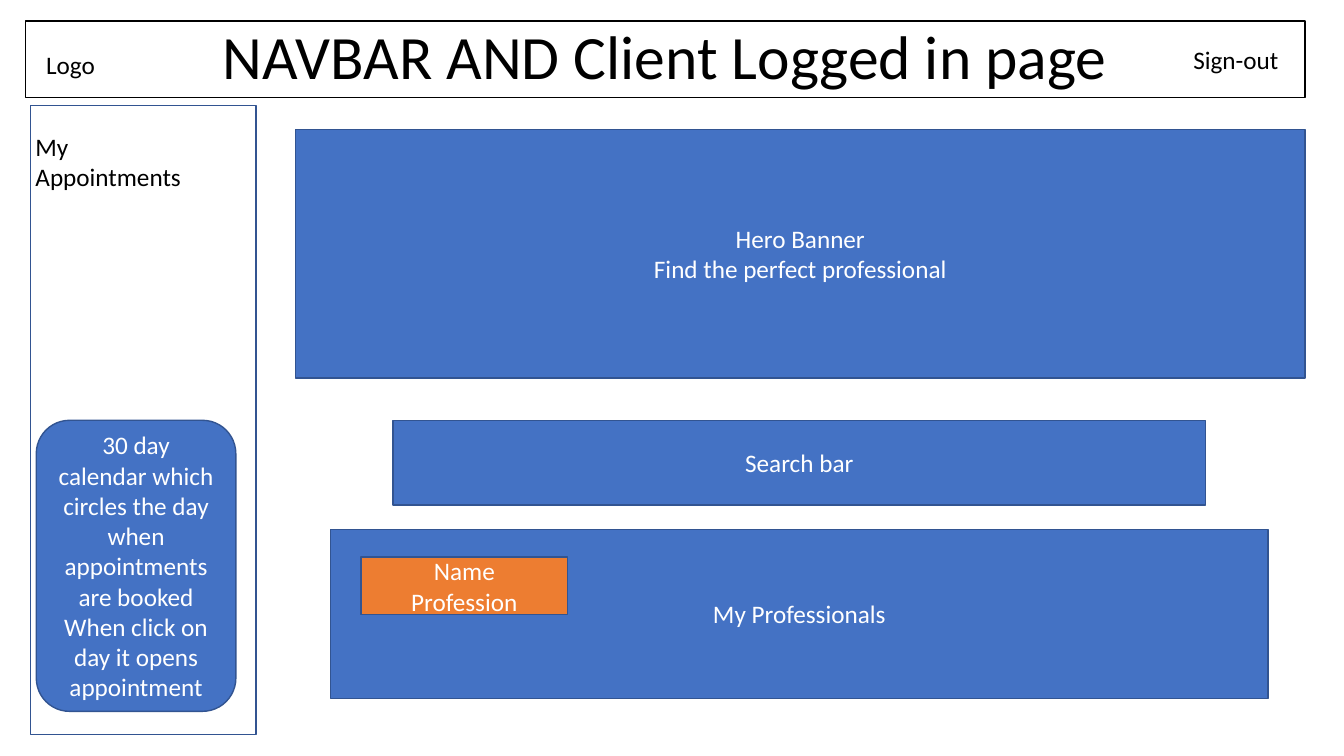
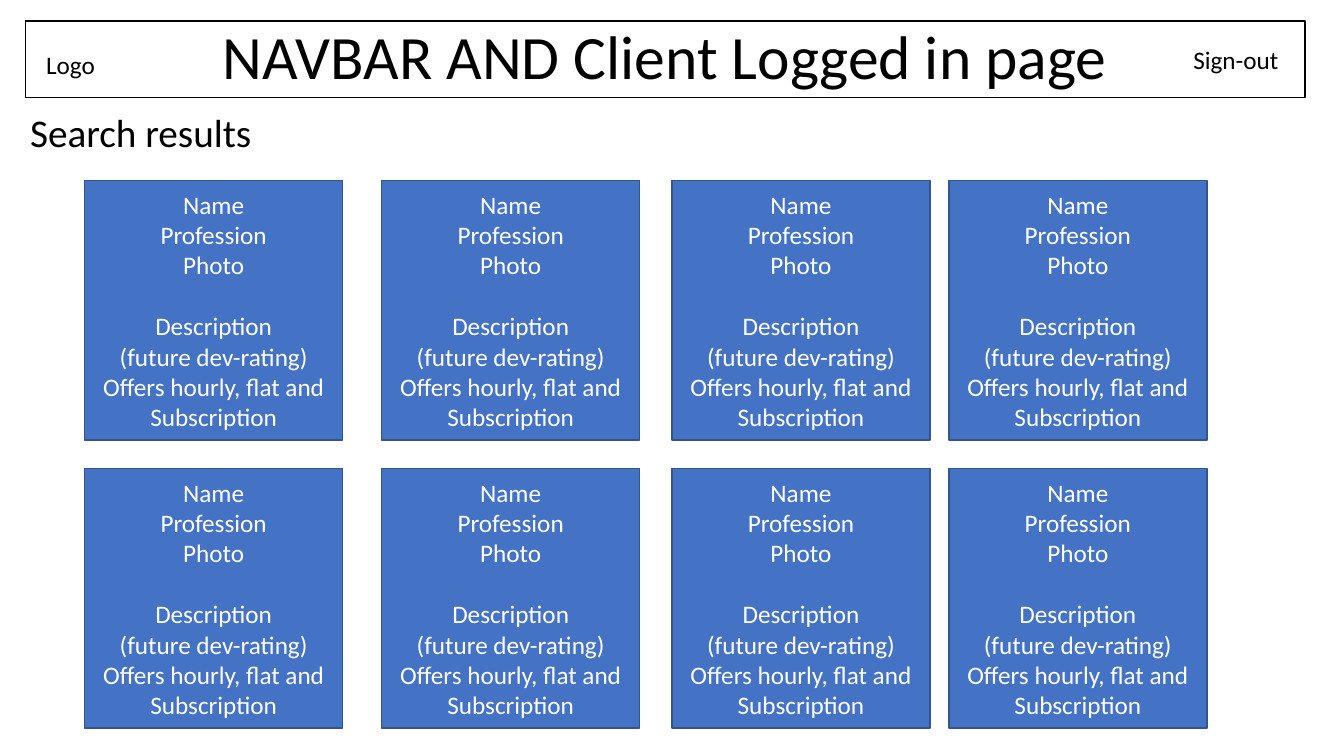
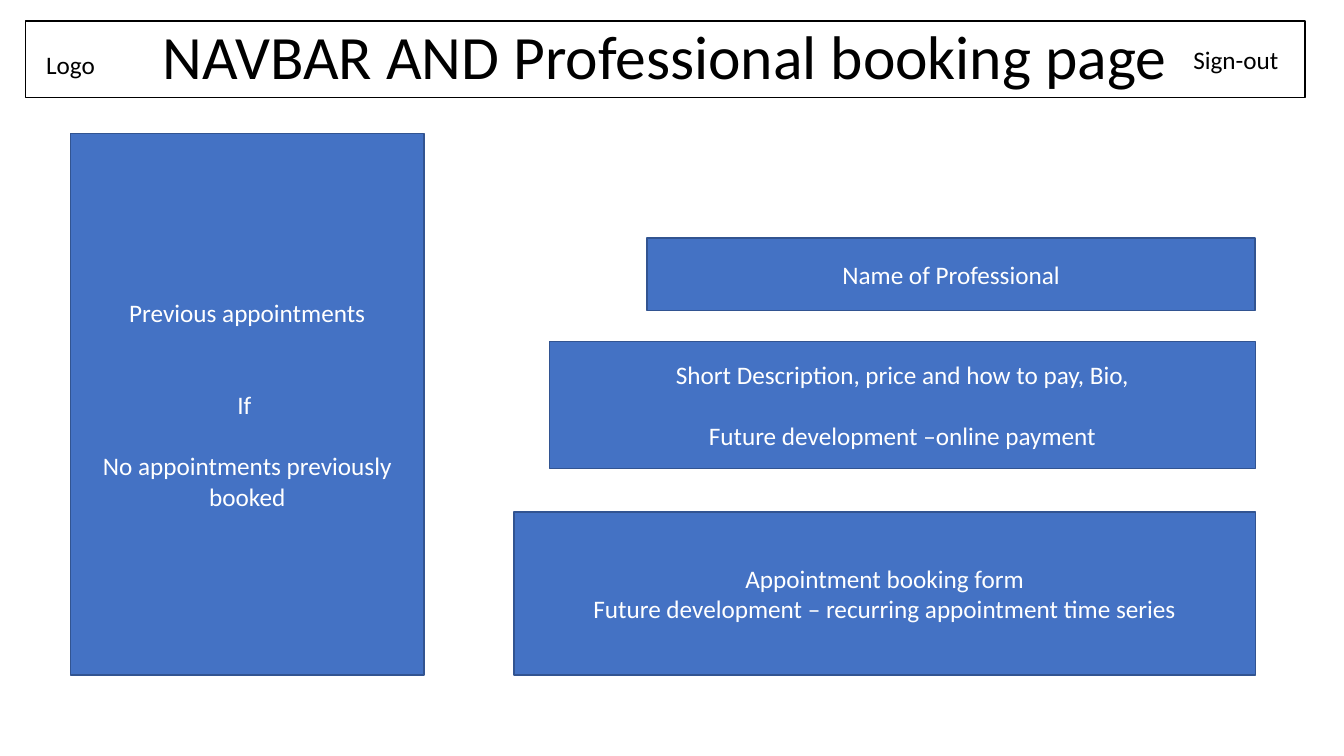
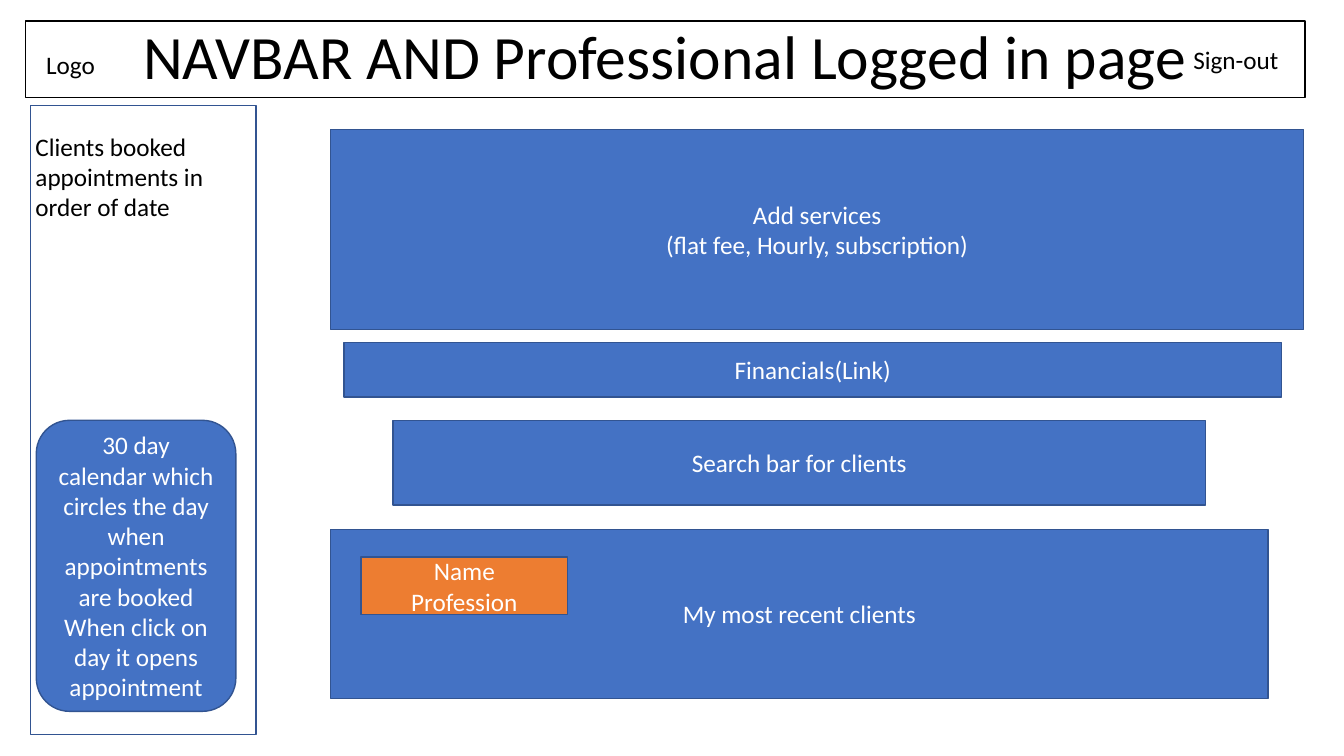
from pptx import Presentation
from pptx.dml.color import RGBColor
from pptx.enum.shapes import MSO_SHAPE
from pptx.enum.text import MSO_ANCHOR, PP_ALIGN
from pptx.util import Inches, Pt

# Shared look
FONT = "Calibri"
WHITE, BLACK = "FFFFFF", "000000"
BLUE, NAVY, ORANGE = "4472C4", "325491", "ED7D31"
BODY_SIZE, HEADING_SIZE, TITLE_SIZE = 18, 28, 44
BLANK_LINE = Pt(22)

deck = Presentation()
deck.slide_width, deck.slide_height = Inches(13.333), Inches(7.5)


def colour(hex_code):
    return RGBColor.from_string(hex_code)


def add_box(page, area, lines=(), fill=BLUE, line=NAVY, ink=WHITE, size=BODY_SIZE,
            align=PP_ALIGN.CENTER, anchor=MSO_ANCHOR.MIDDLE, spacing=1.0,
            gaps=None, preset=MSO_SHAPE.RECTANGLE):
    """Area is left, top, width, height in percent of the slide.
    Gaps maps a line number to the count of line heights left free above it."""
    left, top, width, height = area
    box = page.shapes.add_shape(
        preset,
        round(deck.slide_width * left / 100), round(deck.slide_height * top / 100),
        round(deck.slide_width * width / 100), round(deck.slide_height * height / 100))
    box.shadow.inherit = False
    if fill:
        box.fill.solid()
        box.fill.fore_color.rgb = colour(fill)
    else:
        box.fill.background()
    if line:
        box.line.color.rgb = colour(line)
        box.line.width = Pt(1)
    else:
        box.line.fill.background()

    frame = box.text_frame
    frame.word_wrap = True
    frame.vertical_anchor = anchor
    for number, text in enumerate(lines):
        para = frame.add_paragraph() if number else frame.paragraphs[0]
        para.text = text
        para.alignment = align
        para.line_spacing = spacing
        para.space_before = BLANK_LINE * (gaps or {}).get(number, 0)
        para.font.name = FONT
        para.font.size = Pt(size)
        para.font.color.rgb = colour(ink)


LABEL = dict(fill=None, line=None, ink=BLACK, align=PP_ALIGN.LEFT, anchor=MSO_ANCHOR.TOP)

# Pages with their navigation bar
pages = []
for title in ("NAVBAR AND Client Logged in page",
              "NAVBAR AND Client Logged in page",
              "NAVBAR AND Professional booking page",
              "NAVBAR AND Professional Logged in page"):
    page = deck.slides.add_slide(deck.slide_layouts[6])
    add_box(page, (1.9, 2.8, 95.2, 10.1), [title], fill=WHITE, line=BLACK, ink=BLACK,
            size=TITLE_SIZE, spacing=0.9)
    add_box(page, (2.7, 5.9, 12.1, 5.3), ["Logo"], **LABEL)
    add_box(page, (88.05, 5.2, 11.9, 5.3), ["Sign-out"], **LABEL)
    pages.append(page)
client_home, results, booking, professional_home = pages

# Both home pages: side panel, search bar and list of people
for page, panel_heading, search, people in (
        (client_home, "My Appointments", "Search bar", "My Professionals"),
        (professional_home, "Clients booked appointments in order of date",
         "Search bar for clients", "My most recent clients")):
    add_box(page, (2.25, 14, 16.8, 83.2), fill=None)
    add_box(page, (1.9, 16.7, 14.85, 13.5), [panel_heading], **LABEL)
    add_box(page, (2.7, 55.6, 14.85, 38.5),
            ["30 day calendar which circles the day when appointments are booked",
             "When click on day it opens appointment"],
            preset=MSO_SHAPE.ROUNDED_RECTANGLE)
    add_box(page, (29.25, 55.6, 60.45, 11.2), [search])
    add_box(page, (24.6, 70, 69.75, 22.4), [people])
    add_box(page, (26.85, 73.7, 15.4, 7.6), ["Name", "Profession"], fill=ORANGE)

# Client home: hero banner
add_box(client_home, (22, 17.1, 75.1, 32.9),
        ["Hero Banner", "Find the perfect professional"])

# Professional home: services and financials
add_box(professional_home, (24.6, 17.1, 72.4, 26.5),
        ["Add services", "(flat fee, Hourly, subscription)"])
add_box(professional_home, (25.6, 45.3, 69.75, 7.2), ["Financials(Link)"])

# Search results: two rows of four cards
add_box(results, (1.5, 14.4, 85.4, 8.5), ["Search results"], size=HEADING_SIZE,
        spacing=0.9, **LABEL)
for top in (23.9, 62):
    for left in (6.3, 28.4, 50, 70.6):
        add_box(results, (left, top, 19.2, 34.3),
                ["Name", "Profession", "Photo", "Description", "(future dev-rating)",
                 "Offers hourly, flat and Subscription"], gaps={3: 1})

# Booking page: history on the left, right-aligned boxes beside it
add_box(booking, (5.25, 17.7, 26.3, 71.6),
        ["Previous appointments", "If ", "No appointments previously booked"],
        gaps={1: 2, 2: 1})
RIGHT_EDGE = 93.4
for left, top, height, lines, gaps in (
        (48.15, 31.5, 9.6, ["Name of Professional"], {}),
        (40.9, 45.2, 16.8, ["Short Description, price and how to pay, Bio,",
                            "Future development –online payment"], {1: 1}),
        (38.25, 67.7, 21.6, ["Appointment booking form",
                             "Future development – recurring appointment time series"], {})):
    add_box(booking, (left, top, RIGHT_EDGE - left, height), lines, gaps=gaps)

deck.save("out.pptx")
